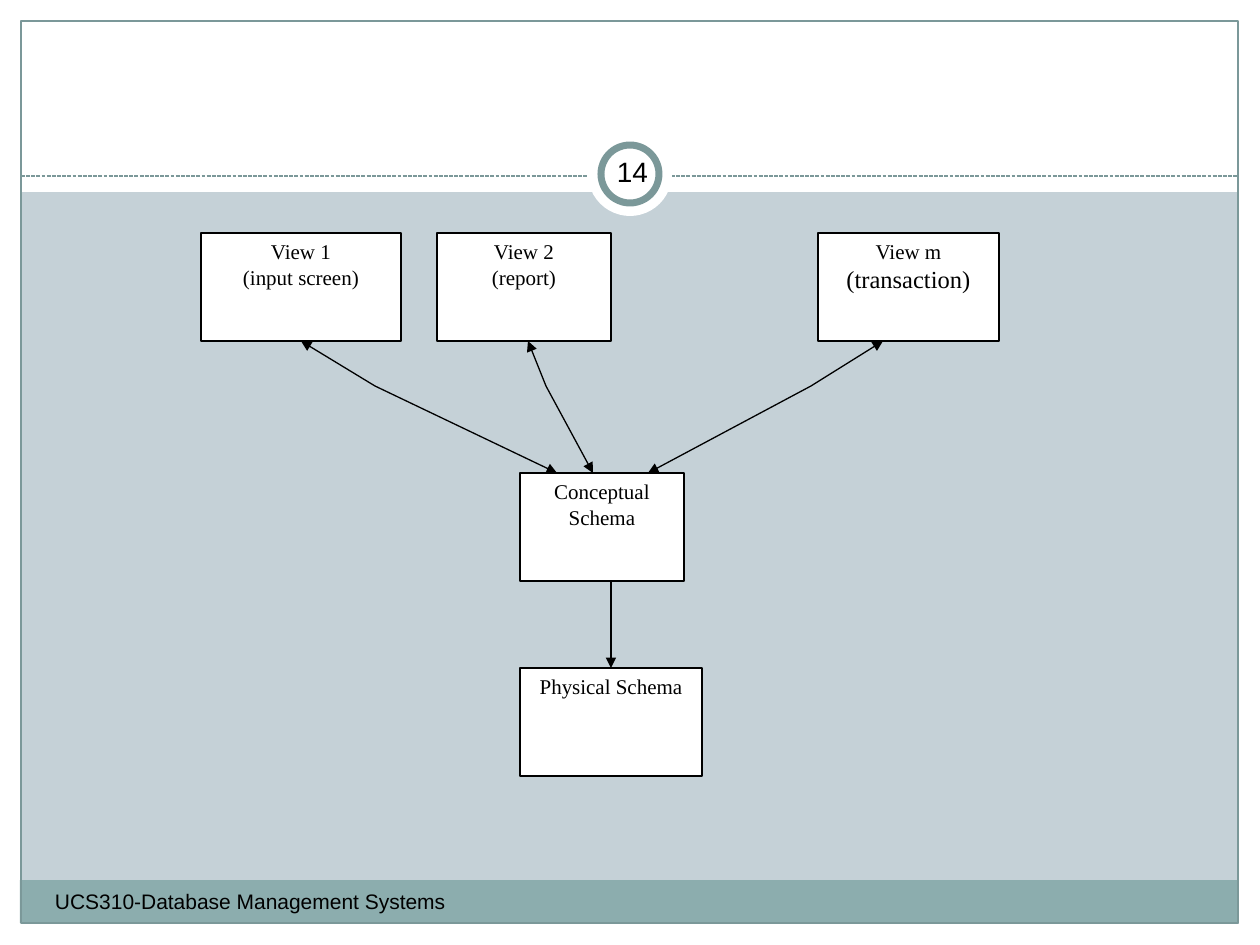
import pptx
import pptx.util
import pptx.dml.color
import pptx.enum.dml
import pptx.enum.shapes
import pptx.enum.text
import pptx.oxml.ns
from lxml import etree

PX = 914400 / 126
COLORS = {"back": "C5D1D7", "white": "FFFFFF", "bar": "8CADAE",
          "frame": "7B9899", "black": "000000"}
SHAPE = pptx.enum.shapes.MSO_SHAPE
ALIGN = pptx.enum.text.PP_ALIGN
ANCHOR = pptx.enum.text.MSO_ANCHOR


def px(n):
    return pptx.util.Emu(round(n * PX))


def rgb(name):
    return pptx.dml.color.RGBColor.from_string(COLORS[name])


def write(sp, lines, font="Times New Roman", sizes=(12,), align=ALIGN.CENTER,
          anchor=ANCHOR.TOP, inset=13):
    """Put one paragraph per line; the last size serves all further lines."""
    tf = sp.text_frame
    tf.word_wrap = True
    tf.vertical_anchor = anchor
    tf.margin_left = tf.margin_right = px(inset)
    tf.margin_top = tf.margin_bottom = px(6)
    for i, line in enumerate(lines):
        p = tf.paragraphs[0] if i == 0 else tf.add_paragraph()
        p.alignment = align
        r = p.add_run()
        r.text = line
        r.font.name = font
        r.font.size = pptx.util.Pt(sizes[min(i, len(sizes) - 1)])
        r.font.color.rgb = rgb("black")


class Deck:
    def __init__(self):
        self.prs = pptx.Presentation()
        self.prs.slide_width = px(1260)
        self.prs.slide_height = px(945)
        self.s = self.prs.slides.add_slide(self.prs.slide_layouts[6])
        fill = self.s.background.fill
        fill.solid()
        fill.fore_color.rgb = rgb("back")

    def shape(self, x, y, w, h, fill="white", line=None, width=0.75,
              kind=SHAPE.RECTANGLE):
        sp = self.s.shapes.add_shape(kind, px(x), px(y), px(w), px(h))
        sp.shadow.inherit = False
        if fill:
            sp.fill.solid()
            sp.fill.fore_color.rgb = rgb(fill)
        else:
            sp.fill.background()
        if line:
            sp.line.color.rgb = rgb(line)
            sp.line.width = pptx.util.Pt(width)
        else:
            sp.line.fill.background()
        return sp

    def box(self, x, y, w, lines, sizes=(12,)):
        sp = self.shape(x, y, w, 108, line="black")
        write(sp, lines, sizes=sizes)
        return sp

    def text(self, x, y, w, h, lines, **style):
        write(self.s.shapes.add_textbox(px(x), px(y), px(w), px(h)), lines, **style)

    def line(self, start, end, color="black", dash=None, arrow=True):
        c = self.s.shapes.add_connector(
            pptx.enum.shapes.MSO_CONNECTOR.STRAIGHT, *map(px, start + end))
        c.line.color.rgb = rgb(color)
        c.line.width = pptx.util.Pt(0.75)
        if dash:
            c.line.dash_style = dash
        if arrow:
            etree.SubElement(c.line._get_or_add_ln(),
                             pptx.oxml.ns.qn("a:tailEnd"), type="triangle")
        etree.SubElement(c._element.spPr, pptx.oxml.ns.qn("a:effectLst"))
        return c


def main():
    d = Deck()

    # Frame and page number
    for edge in ((0, 924, 1260, 21), (0, 0, 1260, 192),
                 (0, 0, 21, 945), (1239, 0, 21, 945)):
        d.shape(*edge)
    d.shape(20, 880, 1218, 43, fill="bar")
    d.shape(21, 21, 1217, 902, fill=None, line="frame")
    d.line((21, 176), (1239, 176), color="frame", arrow=False,
           dash=pptx.enum.dml.MSO_LINE.SQUARE_DOT)
    d.shape(588, 132, 84, 84, kind=SHAPE.OVAL)
    d.shape(601, 145, 58, 58, line="frame", width=4, kind=SHAPE.OVAL)
    d.text(601, 141, 63, 60, ["14"], font="Arial", sizes=(16,),
           anchor=ANCHOR.MIDDLE, inset=6)

    # Views and schemas
    view_1 = d.box(201, 233, 200, ["View 1", "(input screen)"])
    d.box(437, 233, 174, ["View 2", "(report)"])
    d.box(818, 233, 181, ["View m", "(transaction)"], sizes=(12, 14))
    d.box(520, 473, 164, ["Conceptual Schema"])
    physical = d.box(520, 668, 182, ["Physical Schema"])

    # Each view link bends once, with an arrowhead at both ends
    for bend_x, view_x, schema_x, view in ((375, 302, 557, view_1),
                                           (811, 883, 648, None),
                                           (546, 528, 593, None)):
        d.line((bend_x, 386), (schema_x, 473))
        to_view = d.line((bend_x, 386), (view_x, 341))
        if view:
            to_view.end_connect(view, 2)
    d.line((611, 581), (611, 668)).end_connect(physical, 0)

    d.text(42, 883, 494, 50, ["UCS310-Database Management Systems"],
           font="Arial", align=ALIGN.LEFT)
    d.prs.save("out.pptx")


if __name__ == "__main__":
    main()
